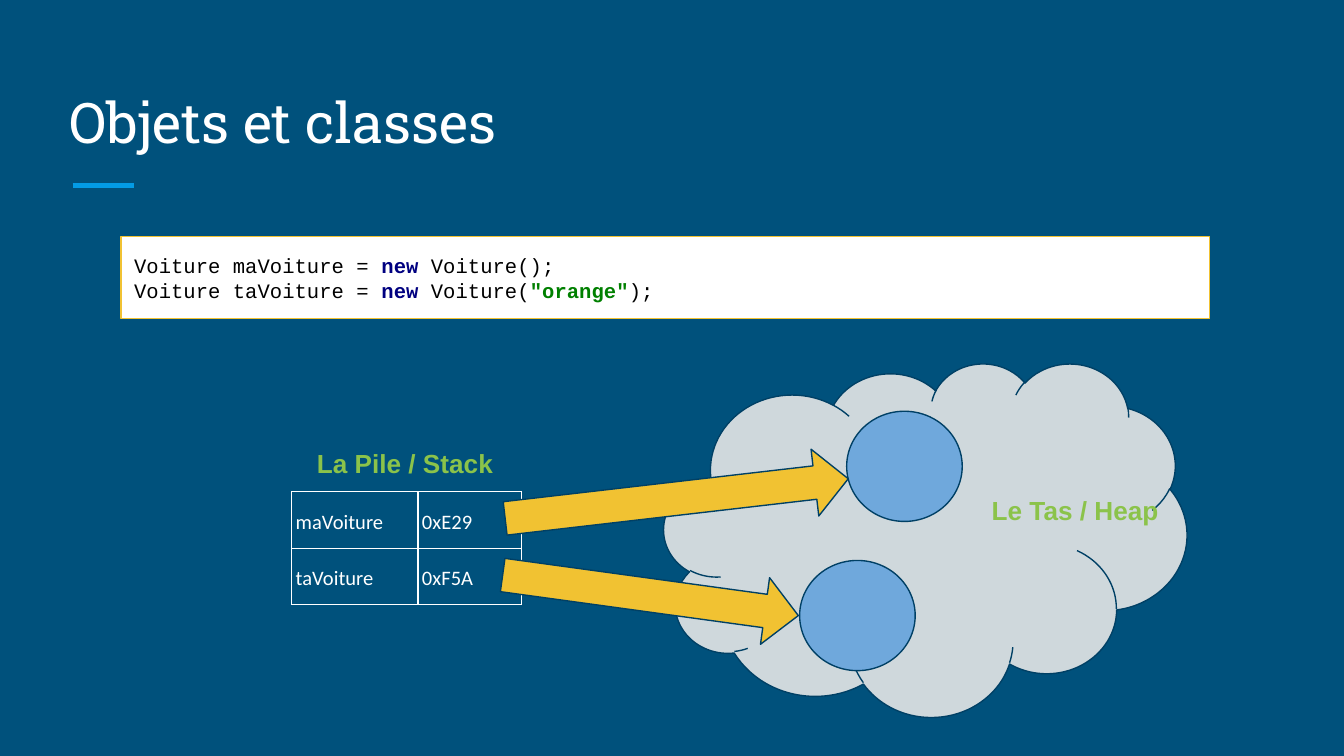
"""Build the "Objets et classes" slide showing the stack and the heap."""
from typing import NamedTuple

from lxml import etree
from pptx import Presentation
from pptx import util as u
from pptx.dml.color import RGBColor
from pptx.enum import shapes, text
from pptx.oxml.ns import qn

PX = 9144
WIDTH = 1000

NAVY = RGBColor(0x00, 0x51, 0x7C)
DEEP = RGBColor(0x00, 0x40, 0x65)
SKY = RGBColor(0x03, 0x9B, 0xE5)
BLUE = RGBColor(0x6F, 0xA8, 0xDC)
GOLD = RGBColor(0xF1, 0xC2, 0x32)
GREY = RGBColor(0xCF, 0xD8, 0xDC)
LIME = RGBColor(0x8B, 0xC3, 0x4A)
WHITE = RGBColor(0xFF, 0xFF, 0xFF)
BLACK = RGBColor(0x00, 0x00, 0x00)
KEYWORD = RGBColor(0x00, 0x00, 0x80)
STRING = RGBColor(0x00, 0x80, 0x00)

KIND = shapes.MSO_SHAPE


class Box(NamedTuple):
    x: int
    y: int
    w: int
    h: int

    def emu(self) -> list[int]:
        return [side * PX for side in self]


class Form(NamedTuple):
    kind: KIND
    box: Box
    fill: RGBColor
    line: RGBColor = DEEP
    turn: float = 0


class Label(NamedTuple):
    words: str
    box: Box


class Token(NamedTuple):
    words: str
    color: RGBColor = BLACK


CODE = Form(KIND.RECTANGLE, Box(90, 176, 810, 61), WHITE, GOLD)
NEW = Token("new ", KEYWORD)
LINES = [
    [Token("Voiture maVoiture = "), NEW, Token("Voiture();")],
    [Token("Voiture taVoiture = "), NEW, Token("Voiture("),
     Token('"orange"', STRING), Token(");")],
]
STACK = [("maVoiture", "0xE29"), ("taVoiture", "0xF5A")]
COLS = (94, 77)
ROW = 42
HEAP = [
    Form(KIND.CLOUD, Box(494, 270, 389, 263), GREY),
    Form(KIND.OVAL, Box(630, 306, 86, 82), BLUE),
    Form(KIND.OVAL, Box(595, 417, 86, 82), BLUE),
    Form(KIND.RIGHT_ARROW, Box(375, 346, 257, 50), GOLD, turn=353.4),
    Form(KIND.RIGHT_ARROW, Box(373, 418, 222, 50), GOLD, turn=7.8),
]
LABELS = [
    Label("La Pile / Stack", Box(226, 323, 155, 34)),
    Label("Le Tas / Heap", Box(728, 358, 155, 34)),
]


def style(run, face: str, size: int, color: RGBColor, bold: bool = False) -> None:
    font = run.font
    font.name, font.size, font.bold = face, u.Pt(size), bold
    font.color.rgb = color


def inset(frame, anchor: text.MSO_ANCHOR) -> None:
    frame.margin_left = frame.margin_right = 10 * PX
    frame.margin_top = frame.margin_bottom = 10 * PX
    frame.vertical_anchor = anchor
    frame.word_wrap = True


def set_title(slide) -> None:
    title = slide.shapes.title
    title.left, title.top, title.width, title.height = Box(42, 50, 915, 75).emu()
    frame = title.text_frame
    frame.text = "Objets et classes"
    frame.auto_size = text.MSO_AUTO_SIZE.NONE
    inset(frame, text.MSO_ANCHOR.BOTTOM)
    para = frame.paragraphs[0]
    para.alignment = text.PP_ALIGN.LEFT
    style(para.runs[0], "Roboto Slab", 30, WHITE)


def add_rule(slide) -> None:
    rule = slide.shapes.add_connector(
        shapes.MSO_CONNECTOR.STRAIGHT, 54 * PX, 138 * PX, 100 * PX, 138 * PX)
    rule.line.color.rgb = SKY
    rule.line.width = u.Pt(3)
    etree.SubElement(rule._element.spPr, qn("a:effectLst"))


def add_form(slide, form: Form):
    shape = slide.shapes.add_shape(form.kind, *form.box.emu())
    shape.shadow.inherit = False
    shape.fill.solid()
    shape.fill.fore_color.rgb = form.fill
    shape.line.color.rgb = form.line
    shape.line.width = u.Pt(0.75)
    shape.rotation = form.turn
    return shape


def add_code(slide) -> None:
    frame = add_form(slide, CODE).text_frame
    inset(frame, text.MSO_ANCHOR.MIDDLE)
    for i, line in enumerate(LINES):
        para = frame.add_paragraph() if i else frame.paragraphs[0]
        para.alignment = text.PP_ALIGN.LEFT
        for token in line:
            run = para.add_run()
            run.text = token.words
            style(run, "Courier New", 11, token.color, token.color != BLACK)


def edge(cell) -> None:
    props = cell._tc.get_or_add_tcPr()
    for side in ("lnL", "lnR", "lnT", "lnB"):
        line = etree.SubElement(props, qn(f"a:{side}"), w=str(u.Pt(0.75)))
        fill = etree.SubElement(line, qn("a:solidFill"))
        etree.SubElement(fill, qn("a:srgbClr"), val=str(WHITE))


def add_stack(slide) -> None:
    box = Box(217, 366, sum(COLS), ROW * len(STACK))
    table = slide.shapes.add_table(len(STACK), len(COLS), *box.emu()).table
    table.first_row = table.horz_banding = False
    for col, width in zip(table.columns, COLS):
        col.width = width * PX
    for row, words in zip(table.rows, STACK):
        row.height = ROW * PX
        for cell, word in zip(row.cells, words):
            edge(cell)
            cell.fill.background()
            cell.margin_left = cell.margin_right = 3 * PX
            cell.margin_top = cell.margin_bottom = 10 * PX
            cell.vertical_anchor = text.MSO_ANCHOR.BOTTOM
            para = cell.text_frame.paragraphs[0]
            para.text = word
            para.line_spacing = 1.15
            style(para.runs[0], "Calibri", 11, WHITE)


def add_label(slide, label: Label) -> None:
    frame = slide.shapes.add_textbox(*label.box.emu()).text_frame
    frame.text = label.words
    inset(frame, text.MSO_ANCHOR.TOP)
    style(frame.paragraphs[0].runs[0], "Arial", 14, LIME, True)


def main() -> None:
    deck = Presentation()
    deck.slide_width = WIDTH * PX
    deck.slide_height = WIDTH * PX * 9 // 16
    slide = deck.slides.add_slide(deck.slide_layouts[5])
    slide.background.fill.solid()
    slide.background.fill.fore_color.rgb = NAVY
    add_rule(slide)
    set_title(slide)
    add_code(slide)
    add_stack(slide)
    for form in HEAP:
        add_form(slide, form)
    for label in LABELS:
        add_label(slide, label)
    deck.save("out.pptx")


if __name__ == "__main__":
    main()
